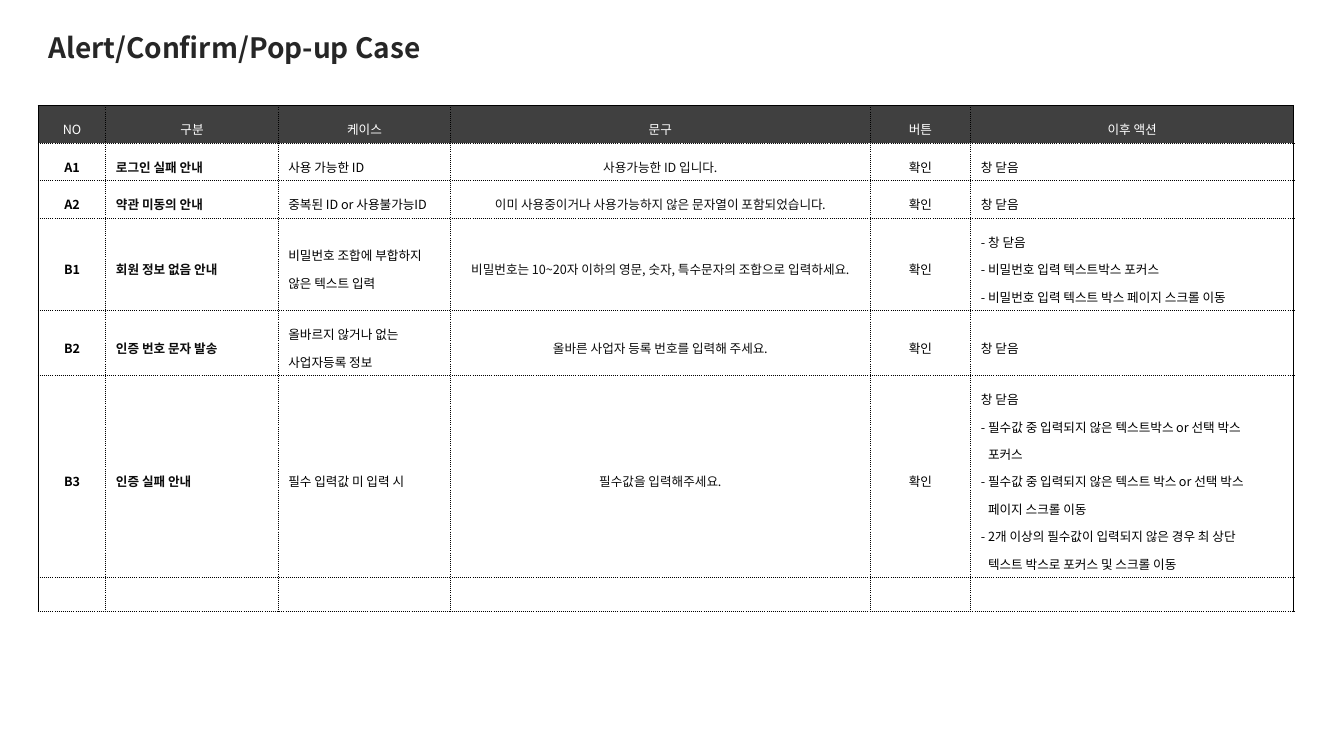
"""Build the slide listing alert, confirm and pop-up cases."""
from lxml import etree
from pptx import Presentation
from pptx.dml.color import RGBColor
from pptx.enum import text
from pptx.oxml import ns
from pptx.util import Inches, Pt

FONT = "Noto Sans CJK KR"
COLORS = {"title": "262626", "header": "404040", "white": "FFFFFF", "black": "000000", "ink": "0D0D0D"}
CENTER, LEFT = text.PP_ALIGN.CENTER, text.PP_ALIGN.LEFT


def add_run(p, words, size, color, bold):
    r = p.add_run()
    r.text = words
    r.font.size, r.font.bold, r.font.name = Pt(size), bold, FONT
    r.font.color.rgb = RGBColor.from_string(COLORS[color])
    etree.SubElement(r.font._element, ns.qn("a:ea"), typeface=FONT)


def add_border(cell, side, width, dash):
    ln = etree.SubElement(cell._tc.get_or_add_tcPr(), ns.qn(f"a:ln{side}"), w=str(Pt(width)))
    fill = etree.SubElement(ln, ns.qn("a:solidFill"))
    etree.SubElement(fill, ns.qn("a:srgbClr"), val=COLORS["black"])
    etree.SubElement(ln, ns.qn("a:prstDash"), val=dash)


prs = Presentation()
prs.slide_width, prs.slide_height = Inches(13.33), Inches(7.5)
s = prs.slides.add_slide(prs.slide_layouts[5])

title = s.shapes.title
title.left, title.top, title.width, title.height = Inches(0.38), Inches(0.3), Inches(6.29), Inches(0.38)
tf = title.text_frame
tf.word_wrap = True
tf.auto_size = text.MSO_AUTO_SIZE.NONE
tf.vertical_anchor = text.MSO_ANCHOR.MIDDLE
p = tf.paragraphs[0]
p.alignment, p.line_spacing = LEFT, 0.9
add_run(p, "Alert/Confirm/Pop-up Case", 20, "title", True)

rows = [
    ["NO", "구분", "케이스", "문구", "버튼", "이후 액션"],
    ["A1", "로그인 실패 안내", "사용 가능한 ID", "사용가능한 ID 입니다.", "확인", "창 닫음"],
    ["A2", "약관 미동의 안내", "중복된 ID or 사용불가능ID",
     "이미 사용중이거나 사용가능하지 않은 문자열이 포함되었습니다.", "확인", "창 닫음"],
    ["B1", "회원 정보 없음 안내", "비밀번호 조합에 부합하지 않은 텍스트 입력",
     "비밀번호는 10~20자 이하의 영문, 숫자, 특수문자의 조합으로 입력하세요.", "확인",
     "- 창 닫음\n- 비밀번호 입력 텍스트박스 포커스\n- 비밀번호 입력 텍스트 박스 페이지 스크롤 이동"],
    ["B2", "인증 번호 문자 발송", "올바르지 않거나 없는 사업자등록 정보",
     "올바른 사업자 등록 번호를 입력해 주세요.", "확인", "창 닫음"],
    ["B3", "인증 실패 안내", "필수 입력값 미 입력 시", "필수값을 입력해주세요.", "확인",
     "창 닫음\n- 필수값 중 입력되지 않은 텍스트박스 or 선택 박스\v포커스\n"
     "- 필수값 중 입력되지 않은 텍스트 박스 or 선택 박스\v페이지 스크롤 이동\n"
     "- 2개 이상의 필수값이 입력되지 않은 경우 최 상단\v텍스트 박스로 포커스 및 스크롤 이동"],
    [""] * 6,
]
columns = [
    (0.67, CENTER, "black", True),
    (1.71, LEFT, "ink", True),
    (1.71, LEFT, "black", False),
    (4.16, CENTER, "ink", False),
    (1, CENTER, "black", False),
    (3.2, LEFT, "black", False),
]
frame = s.shapes.add_table(len(rows), len(columns), Inches(0.38), Inches(1.05), Inches(12.45), Inches(2.29))
table = frame.table
table.first_row = table.horz_banding = False
for i, row in enumerate(rows):
    header = i == 0
    table.rows[i].height = Inches(0.31 if header else 0.33)
    for j, (width, align, color, bold) in enumerate(columns):
        table.columns[j].width = Inches(width)
        cell = table.cell(i, j)
        cell.vertical_anchor = text.MSO_ANCHOR.MIDDLE
        outer = {"L": j == 0, "R": j == len(columns) - 1, "T": header, "B": False}
        for side, solid in outer.items():
            add_border(cell, side, 1 if solid else 0.75, "solid" if solid else "sysDot")
        cell.fill.solid()
        cell.fill.fore_color.rgb = RGBColor.from_string(COLORS["header" if header else "white"])
        tf = cell.text_frame
        for k, line in enumerate(row[j].split("\n")):
            p = tf.add_paragraph() if k else tf.paragraphs[0]
            if not line:
                etree.SubElement(p._p, ns.qn("a:endParaRPr"), sz="900")
                continue
            p.alignment = CENTER if header else align
            p.line_spacing = 1.5
            if line.startswith("-"):
                pPr = p._p.get_or_add_pPr()
                pPr.set("marL", str(Inches(0.07)))
                pPr.set("indent", str(Inches(-0.07)))
            for n, part in enumerate(line.split("\v")):
                if n:
                    p.add_line_break()
                add_run(p, part, 9, "white" if header else color, bold and not header)

prs.save("out.pptx")
